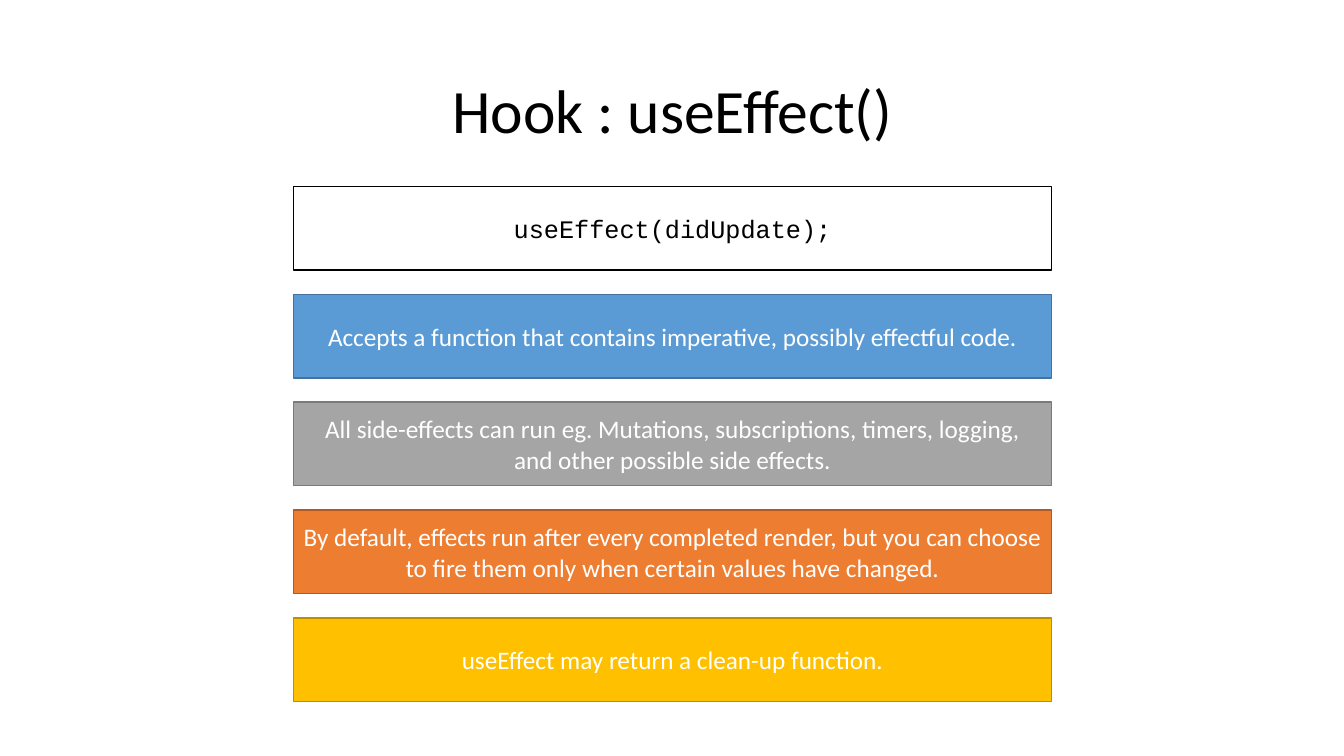
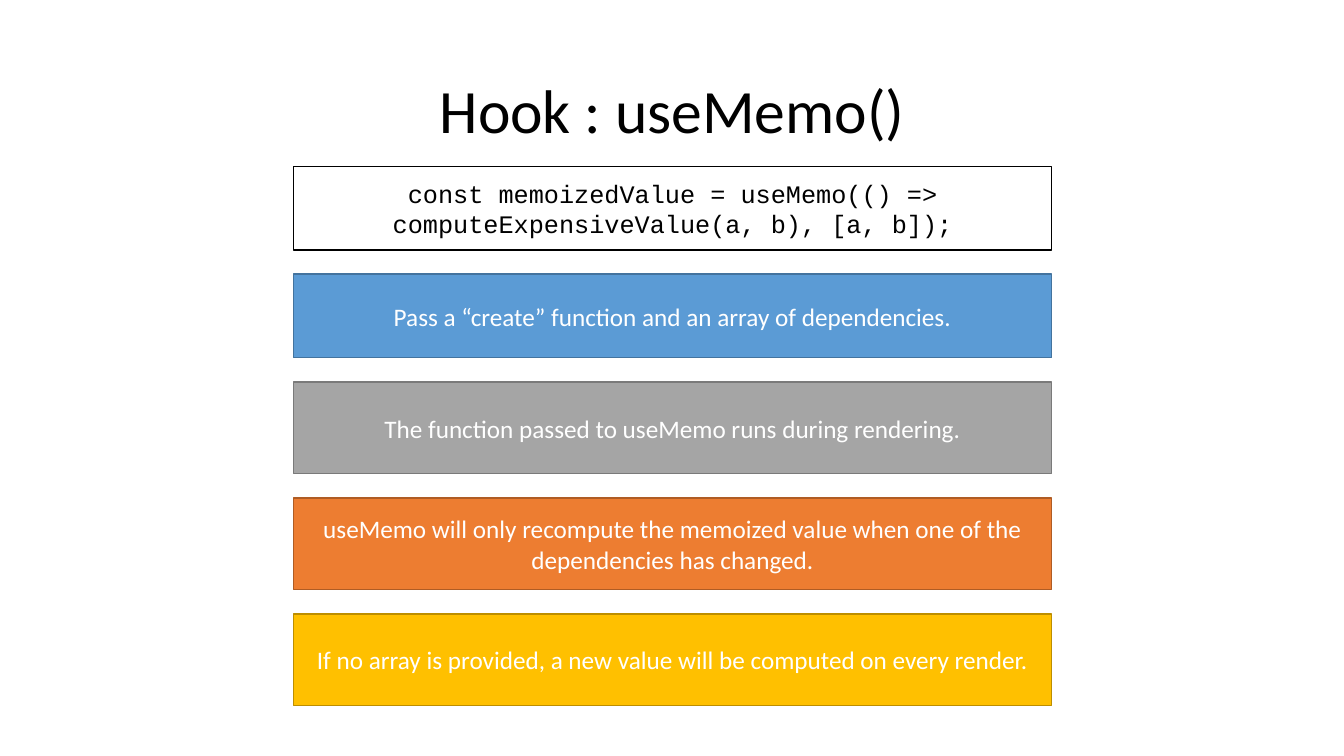
from pptx import Presentation
from pptx.dml.color import RGBColor
from pptx.enum.shapes import MSO_SHAPE
from pptx.enum.text import MSO_ANCHOR, PP_ALIGN
from pptx.util import Inches, Pt

COLORS = {
    "black": "000000", "white": "FFFFFF",
    "blue": "5B9BD5", "blue edge": "43739E",
    "gray": "A5A5A5", "gray edge": "7A7A7A",
    "orange": "ED7D31", "orange edge": "AF5C24",
    "gold": "FFC000", "gold edge": "BD8E00",
}
TITLE = {"name": "Calibri", "size": Pt(44), "bold": False}
CODE = {"name": "Courier New", "size": Pt(18)}
BODY = {"name": "Calibri", "size": Pt(18)}

# Fill, edge, text colour and font of each bar, from top to bottom
BARS = [("white", "black", "black", CODE)] + [
    (hue, hue + " edge", "white", BODY)
    for hue in ("blue", "gray", "orange", "gold")
]
LEFT, WIDTH, GAP = 2.91, 7.52, 0.24

# Title, top of the first bar, bar heights, bar texts
SLIDES = [
    ("Hook : useEffect()", 1.85, [0.83] * 5, [
        "useEffect(didUpdate);",
        "Accepts a function that contains imperative, possibly effectful code.",
        "All side-effects can run eg. Mutations, subscriptions, timers, "
        "logging, and other possible side effects.",
        "By default, effects run after every completed render, but you can "
        "choose to fire them only when certain values have changed.",
        "useEffect may return a clean-up function.",
    ]),
    ("Hook : useMemo()", 1.65, [0.83] * 2 + [0.91] * 3, [
        "const memoizedValue = useMemo(() => "
        "computeExpensiveValue(a, b), [a, b]);",
        "Pass a “create” function and an array of dependencies.",
        "The function passed to useMemo runs during rendering.",
        "useMemo will only recompute the memoized value when one of the "
        "dependencies has changed.",
        "If no array is provided, a new value will be computed on every "
        "render.",
    ]),
]


def color(name):
    return RGBColor.from_string(COLORS[name])


def write(shape, text, style, ink):
    """Put one centred paragraph in the middle of the shape."""
    frame = shape.text_frame
    frame.word_wrap = True
    frame.vertical_anchor = MSO_ANCHOR.MIDDLE
    para = frame.paragraphs[0]
    para.text = text
    para.alignment = PP_ALIGN.CENTER
    for key, value in style.items():
        setattr(para.font, key, value)
    para.font.color.rgb = color(ink)
    return para


deck = Presentation()
deck.slide_width, deck.slide_height = Inches(13.33), Inches(7.5)

for head, top, heights, texts in SLIDES:
    slide = deck.slides.add_slide(deck.slide_layouts[5])
    title = slide.shapes.title
    title.left, title.top = Inches(0.92), Inches(0.4)
    title.width, title.height = Inches(11.5), Inches(1.45)
    write(title, head, TITLE, "black").line_spacing = 0.9

    for (fill, edge, ink, style), height, text in zip(BARS, heights, texts):
        bar = slide.shapes.add_shape(
            MSO_SHAPE.RECTANGLE, Inches(LEFT), Inches(top),
            Inches(WIDTH), Inches(height))
        bar.shadow.inherit = False
        bar.fill.solid()
        bar.fill.fore_color.rgb = color(fill)
        bar.line.color.rgb = color(edge)
        bar.line.width = Pt(1)
        write(bar, text, style, ink)
        top += height + GAP

deck.save("out.pptx")
